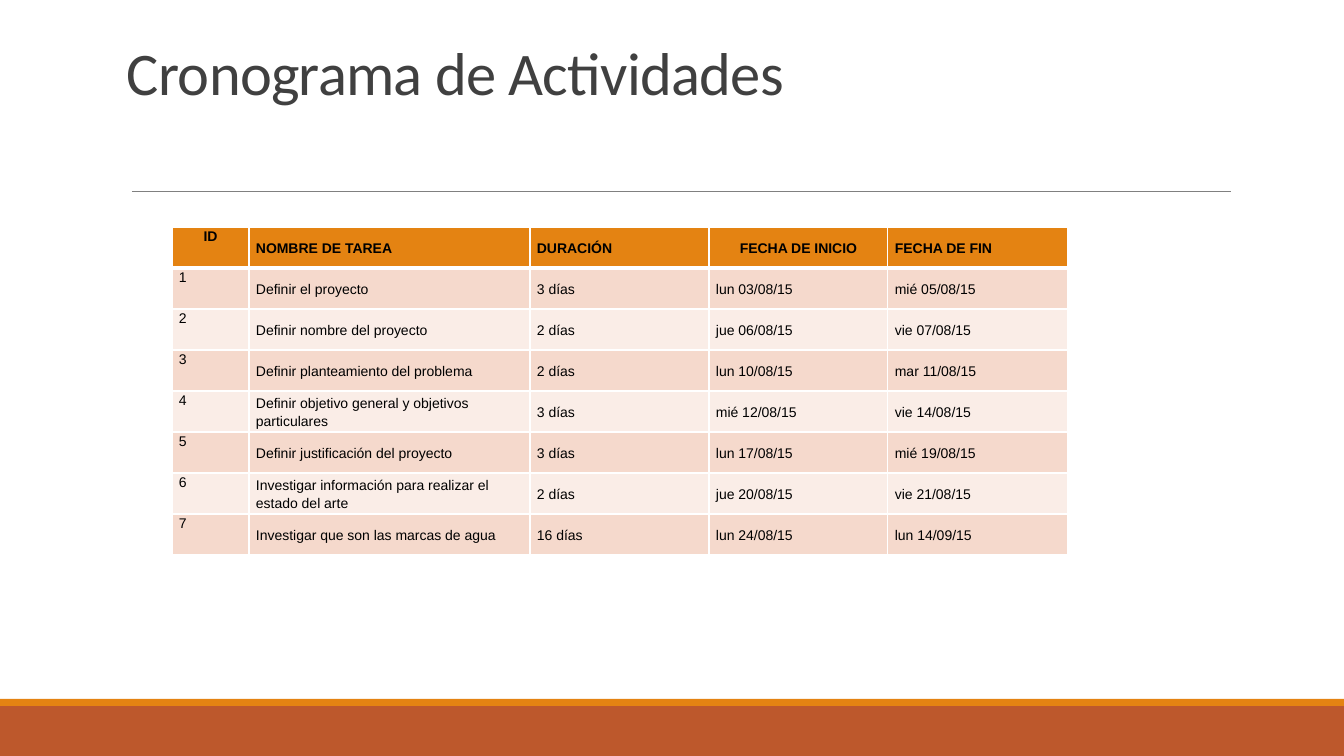
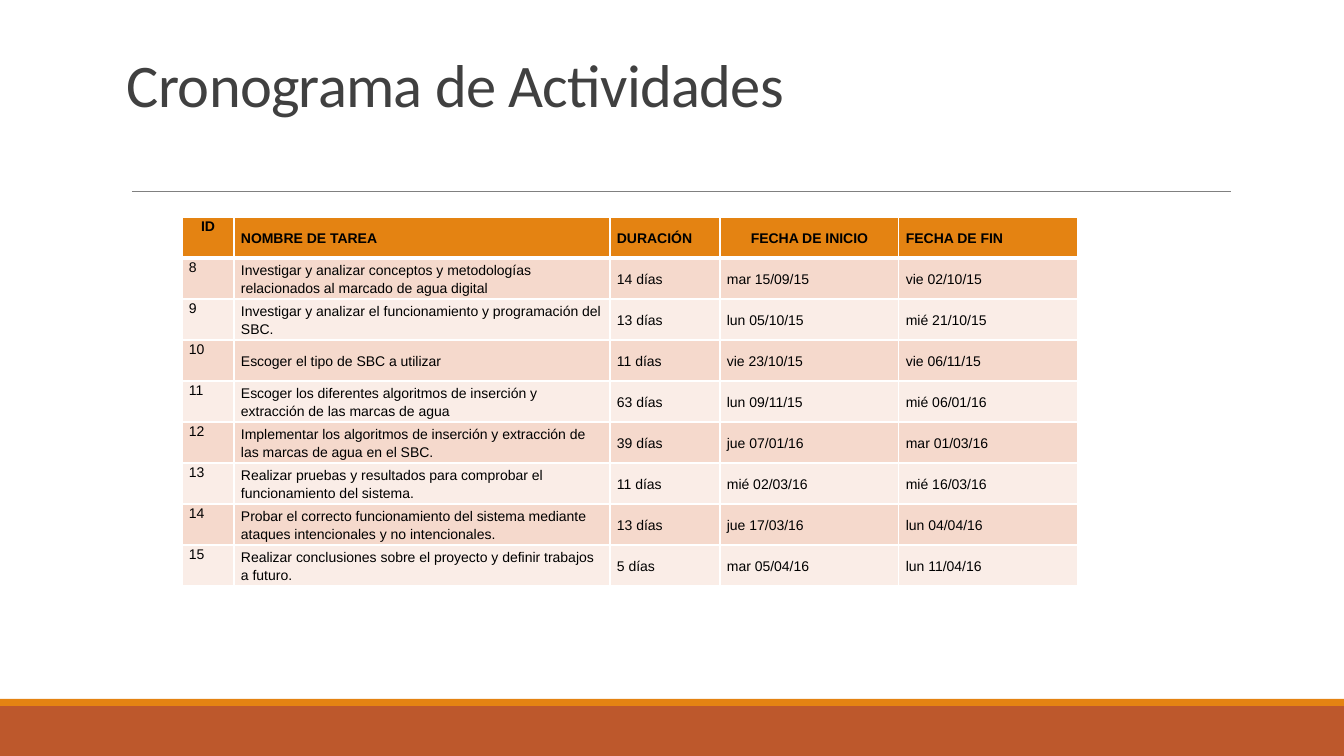
import pptx
import pptx.dml.color
import pptx.enum.shapes
import pptx.enum.text
import pptx.oxml
import pptx.oxml.ns
import pptx.util

RGB = pptx.dml.color.RGBColor
ALIGN = pptx.enum.text.PP_ALIGN
ANCHOR = pptx.enum.text.MSO_ANCHOR

WHITE = RGB(0xFF, 0xFF, 0xFF)
BLACK = RGB(0x00, 0x00, 0x00)
DARK = RGB(0x40, 0x40, 0x40)
GRAY = RGB(0x80, 0x80, 0x80)
ORANGE = RGB(0xE4, 0x83, 0x12)
RUST = RGB(0xBD, 0x58, 0x2C)
PEACH = RGB(0xF5, 0xD9, 0xCC)
CREAM = RGB(0xFA, 0xED, 0xE7)

PX = 914400 / 100.8
ROW_HEIGHT = 41
CELL_INSET = 7
TITLE = "Cronograma de Actividades"
HEADER = ("ID", "NOMBRE DE TAREA", "DURACIÓN", "FECHA DE INICIO", "FECHA DE FIN")
CENTERED_HEADERS = ("ID", "FECHA DE INICIO")
BANDS = ((706, 50, RUST), (699, 7, ORANGE))

SLIDES = (
    {
        "title_top": 37,
        "table_at": (172, 227),
        "columns": (77, 281, 179, 179, 180),
        "tasks": (
            ("1", "Definir el proyecto", "3 días", "lun 03/08/15", "mié 05/08/15"),
            ("2", "Definir nombre del proyecto", "2 días", "jue 06/08/15", "vie 07/08/15"),
            ("3", "Definir planteamiento del problema", "2 días", "lun 10/08/15", "mar 11/08/15"),
            ("4", "Definir objetivo general y objetivos particulares",
             "3 días", "mié 12/08/15", "vie 14/08/15"),
            ("5", "Definir justificación del proyecto", "3 días", "lun 17/08/15", "mié 19/08/15"),
            ("6", "Investigar información para realizar el estado del arte",
             "2 días", "jue 20/08/15", "vie 21/08/15"),
            ("7", "Investigar que son las marcas de agua", "16 días", "lun 24/08/15", "lun 14/09/15"),
        ),
    },
    {
        "title_top": 49,
        "table_at": (182, 217),
        "columns": (52, 376, 110, 179, 179),
        "tasks": (
            ("8", "Investigar y analizar conceptos y metodologías relacionados al marcado de agua digital",
             "14 días", "mar 15/09/15", "vie 02/10/15"),
            ("9", "Investigar y analizar el funcionamiento y programación del SBC.",
             "13 días", "lun 05/10/15", "mié 21/10/15"),
            ("10", "Escoger el tipo de SBC a utilizar", "11 días", "vie 23/10/15", "vie 06/11/15"),
            ("11", "Escoger los diferentes algoritmos de inserción y extracción de las marcas de agua",
             "63 días", "lun 09/11/15", "mié 06/01/16"),
            ("12", "Implementar los algoritmos de inserción y extracción de las marcas de agua en el SBC.",
             "39 días", "jue 07/01/16", "mar 01/03/16"),
            ("13", "Realizar pruebas y resultados para comprobar el funcionamiento del sistema.",
             "11 días", "mié 02/03/16", "mié 16/03/16"),
            ("14", "Probar el correcto funcionamiento del sistema mediante ataques intencionales y no intencionales.",
             "13 días", "jue 17/03/16", "lun 04/04/16"),
            ("15", "Realizar conclusiones sobre el proyecto y definir trabajos a futuro.",
             "5 días", "mar 05/04/16", "lun 11/04/16"),
        ),
    },
)


def px(n):
    return pptx.util.Emu(round(n * PX))


def write(tf, text, *, font="Arial", size=10, color=BLACK, bold=False,
          align=ALIGN.LEFT, spacing=1.15, tracking=None):
    tf.word_wrap = True
    p = tf.paragraphs[0]
    p.alignment = align
    p.line_spacing = spacing
    r = p.add_run()
    r.text = text
    r.font.name = font
    r.font.size = pptx.util.Pt(size)
    r.font.bold = bold
    r.font.color.rgb = color
    if tracking is not None:
        r.font._element.set("spc", str(tracking))


prs = pptx.Presentation()
prs.slide_width = px(1344)
prs.slide_height = px(756)

for content in SLIDES:
    s = prs.slides.add_slide(prs.slide_layouts[6])

    for top, height, color in BANDS:
        sp = s.shapes.add_shape(pptx.enum.shapes.MSO_SHAPE.RECTANGLE, 0, px(top), px(1344), px(height))
        sp.shadow.inherit = False
        sp.fill.solid()
        sp.fill.fore_color.rgb = color
        sp.line.fill.background()

    rule = s.shapes.add_connector(pptx.enum.shapes.MSO_CONNECTOR.STRAIGHT, px(132), px(191), px(1231), px(191))
    rule.line.color.rgb = GRAY
    rule.line.width = pptx.util.Pt(0.5)
    rule._element.spPr.append(pptx.oxml.parse_xml(f'<a:effectLst {pptx.oxml.ns.nsdecls("a")}/>'))

    title = s.shapes.add_textbox(px(117), px(content["title_top"]), px(749), px(76))
    title.text_frame.vertical_anchor = ANCHOR.BOTTOM
    write(title.text_frame, TITLE, font="Calibri", size=43.2, color=DARK, spacing=0.85, tracking=-50)

    rows = (HEADER,) + content["tasks"]
    columns = content["columns"]
    left, top = content["table_at"]
    table = s.shapes.add_table(len(rows), len(columns), px(left), px(top),
                               px(sum(columns)), px(ROW_HEIGHT * len(rows))).table
    table.first_row = False
    table.horz_banding = False
    for column, width in zip(table.columns, columns):
        column.width = px(width)

    for i, texts in enumerate(rows):
        table.rows[i].height = px(ROW_HEIGHT)
        fill = ORANGE if i == 0 else PEACH if i % 2 else CREAM
        widths = {"lnL": 1, "lnR": 1, "lnT": 3 if i == 1 else 1, "lnB": 3 if i == 0 else 1}
        for j, text in enumerate(texts):
            cell = table.cell(i, j)
            cell.margin_left = cell.margin_right = px(CELL_INSET)
            cell.margin_top = cell.margin_bottom = 0
            cell.vertical_anchor = ANCHOR.TOP if j == 0 else ANCHOR.MIDDLE
            cell.fill.solid()
            cell.fill.fore_color.rgb = fill
            write(cell.text_frame, text, bold=i == 0,
                  align=ALIGN.CENTER if text in CENTERED_HEADERS else ALIGN.LEFT)
            tcPr = cell._tc.get_or_add_tcPr()
            for k, (side, width) in enumerate(widths.items()):
                tcPr.insert(k, pptx.oxml.parse_xml(
                    f'<a:{side} {pptx.oxml.ns.nsdecls("a")} w="{pptx.util.Pt(width)}">'
                    f'<a:solidFill><a:srgbClr val="{WHITE}"/></a:solidFill></a:{side}>'))

prs.save("out.pptx")
